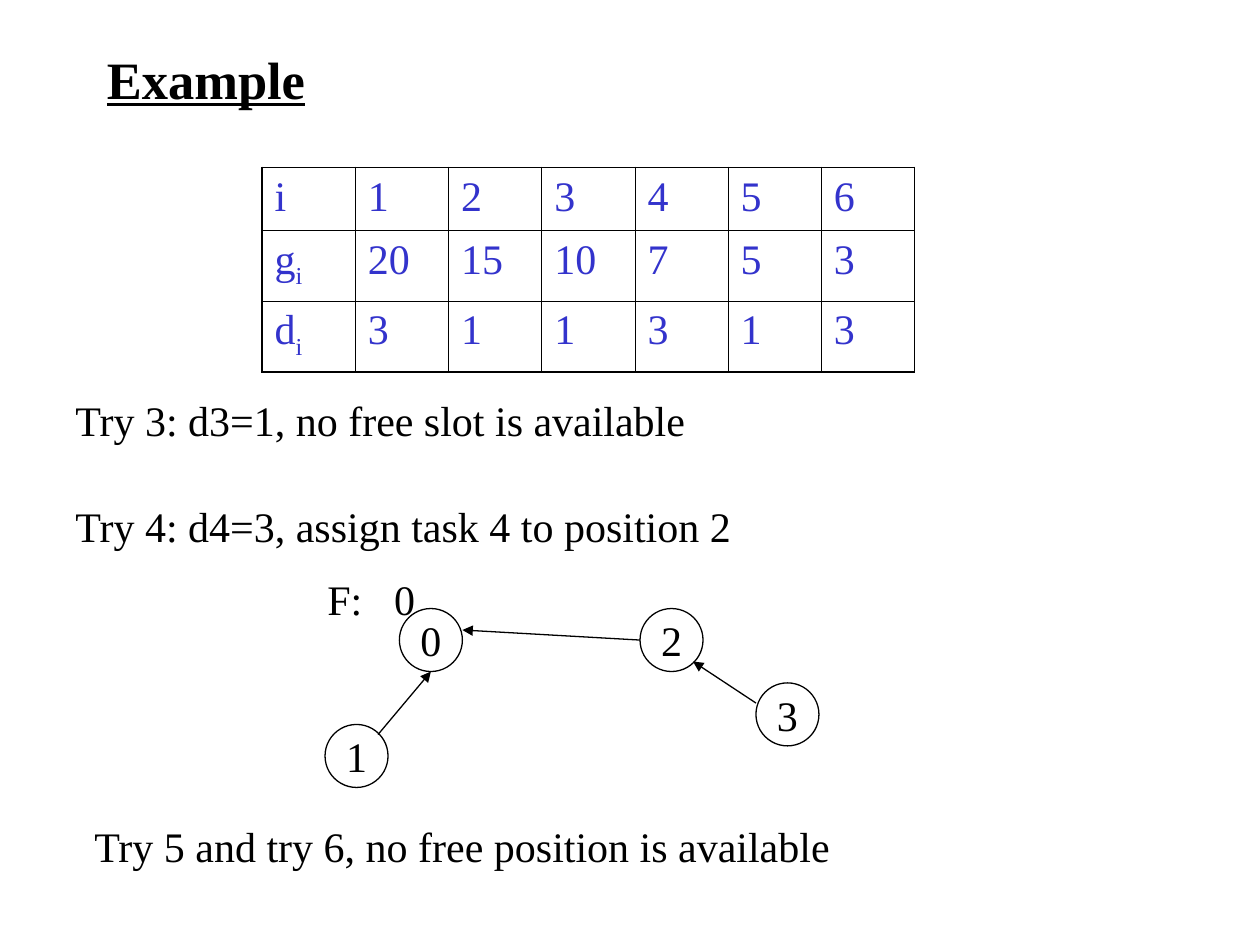
from lxml.etree import SubElement
from pptx import Presentation
from pptx.dml.color import RGBColor
from pptx.enum.shapes import MSO_CONNECTOR, MSO_SHAPE
from pptx.enum.text import MSO_ANCHOR, PP_ALIGN
from pptx.oxml.ns import qn
from pptx.util import Inches, Pt

FONT = "Times New Roman"
BLACK = "000000"
BLUE = "3333CC"
THIN, THICK = 0.45, 1.08

TITLE = ("Example", 0.75, 0.33, 6.75, 0.58)
TASKS = [
    ("i", ["1", "2", "3", "4", "5", "6"]),
    ("gi", ["20", "15", "10", "7", "5", "3"]),
    ("di", ["3", "1", "1", "3", "1", "3"]),
]
TABLE_LEFT, TABLE_TOP = 2.08, 1.33
COLUMN_WIDTH = 0.74
ROW_HEIGHTS = [0.5, 0.56, 0.56]
STEPS = [
    ("Try 3: d3=1, no free slot is available", 0.5, 3.08, 7.83),
    ("Try 4: d4=3, assign task 4 to position 2", 0.5, 3.92, 7.41),
    ("F:\t0", 2.5, 4.5, 2.56),
    ("Try 5 and try 6, no free position is available", 0.65, 6.46, 6.3),
]
FREE_SLOT_TAB = 0.53
NODE_SIZE = 0.5
NODES = [("0", 3.17, 4.83), ("1", 2.58, 5.75), ("2", 5.08, 4.83), ("3", 6, 5.42)]
ARROWS = [
    ((6, 5.58), (5.5, 5.25)),
    ((3, 5.83), (3.42, 5.33)),
    ((5.08, 5.08), (3.67, 5)),
]


def color(value):
    return RGBColor.from_string(value)


def style(para, size=24, fill=BLACK):
    para.font.name = FONT
    para.font.size = Pt(size)
    para.font.color.rgb = color(fill)


def add_text(page, text, left, top, width, height=0.5):
    box = page.shapes.add_textbox(Inches(left), Inches(top), Inches(width), Inches(height))
    box.text_frame.word_wrap = True
    para = box.text_frame.paragraphs[0]
    para.text = text
    if "\t" in text:
        tabs = SubElement(para._p.get_or_add_pPr(), qn("a:tabLst"))
        SubElement(tabs, qn("a:tab"), pos=str(Inches(FREE_SLOT_TAB)), algn="l")
    style(para)
    return box


def add_title(page):
    box = add_text(page, *TITLE)
    box.text_frame.vertical_anchor = MSO_ANCHOR.MIDDLE
    para = box.text_frame.paragraphs[0]
    style(para, size=30)
    para.font.bold = True
    para.font.underline = True


def set_borders(cell, widths):
    properties = cell._tc.get_or_add_tcPr()
    for side, width in widths.items():
        line = SubElement(properties, qn(f"a:ln{side}"), w=str(Pt(width)))
        fill = SubElement(line, qn("a:solidFill"))
        SubElement(fill, qn("a:srgbClr"), val=BLACK)


def add_task_table(page):
    rows = [[label, *values] for label, values in TASKS]
    last_row, last_column = len(rows) - 1, len(rows[0]) - 1
    table = page.shapes.add_table(
        len(rows), len(rows[0]), Inches(TABLE_LEFT), Inches(TABLE_TOP),
        Inches(COLUMN_WIDTH * len(rows[0])), Inches(sum(ROW_HEIGHTS))).table
    table.first_row = False
    table.horz_banding = False
    for column in table.columns:
        column.width = Inches(COLUMN_WIDTH)
    for r, values in enumerate(rows):
        table.rows[r].height = Inches(ROW_HEIGHTS[r])
        for c, value in enumerate(values):
            cell = table.cell(r, c)
            para = cell.text_frame.paragraphs[0]
            if c == 0 and len(value) > 1:
                para.add_run().text = value[0]
                subscript = para.add_run()
                subscript.text = value[1:]
                subscript._r.get_or_add_rPr().set("baseline", "-25000")
            else:
                para.text = value
            para.space_before = Pt(6)
            style(para, fill=BLUE)
            set_borders(cell, {
                "L": THICK if c == 0 else THIN,
                "R": THICK if c == last_column else THIN,
                "T": THICK if r == 0 else THIN,
                "B": THICK if r == last_row else THIN,
            })
            cell.fill.background()


def add_node(page, label, left, top):
    node = page.shapes.add_shape(
        MSO_SHAPE.OVAL, Inches(left), Inches(top), Inches(NODE_SIZE), Inches(NODE_SIZE))
    node.shadow.inherit = False
    node.fill.background()
    node.line.color.rgb = color(BLACK)
    node.line.width = Pt(0.75)
    node.text_frame.word_wrap = False
    node.text_frame.vertical_anchor = MSO_ANCHOR.MIDDLE
    para = node.text_frame.paragraphs[0]
    para.text = label
    para.alignment = PP_ALIGN.CENTER
    style(para)


def add_arrow(page, start, end):
    arrow = page.shapes.add_connector(
        MSO_CONNECTOR.STRAIGHT, *(Inches(value) for value in (*start, *end)))
    arrow.line.color.rgb = color(BLACK)
    arrow.line.width = Pt(0.75)
    SubElement(arrow.line._get_or_add_ln(), qn("a:tailEnd"), type="triangle")
    SubElement(arrow._element.spPr, qn("a:effectLst"))


def main():
    deck = Presentation()
    deck.slide_width, deck.slide_height = Inches(10), Inches(7.5)
    page = deck.slides.add_slide(deck.slide_layouts[6])
    add_title(page)
    add_task_table(page)
    for step in STEPS:
        add_text(page, *step)
    for node in NODES:
        add_node(page, *node)
    for start, end in ARROWS:
        add_arrow(page, start, end)
    deck.save("out.pptx")


if __name__ == "__main__":
    main()
